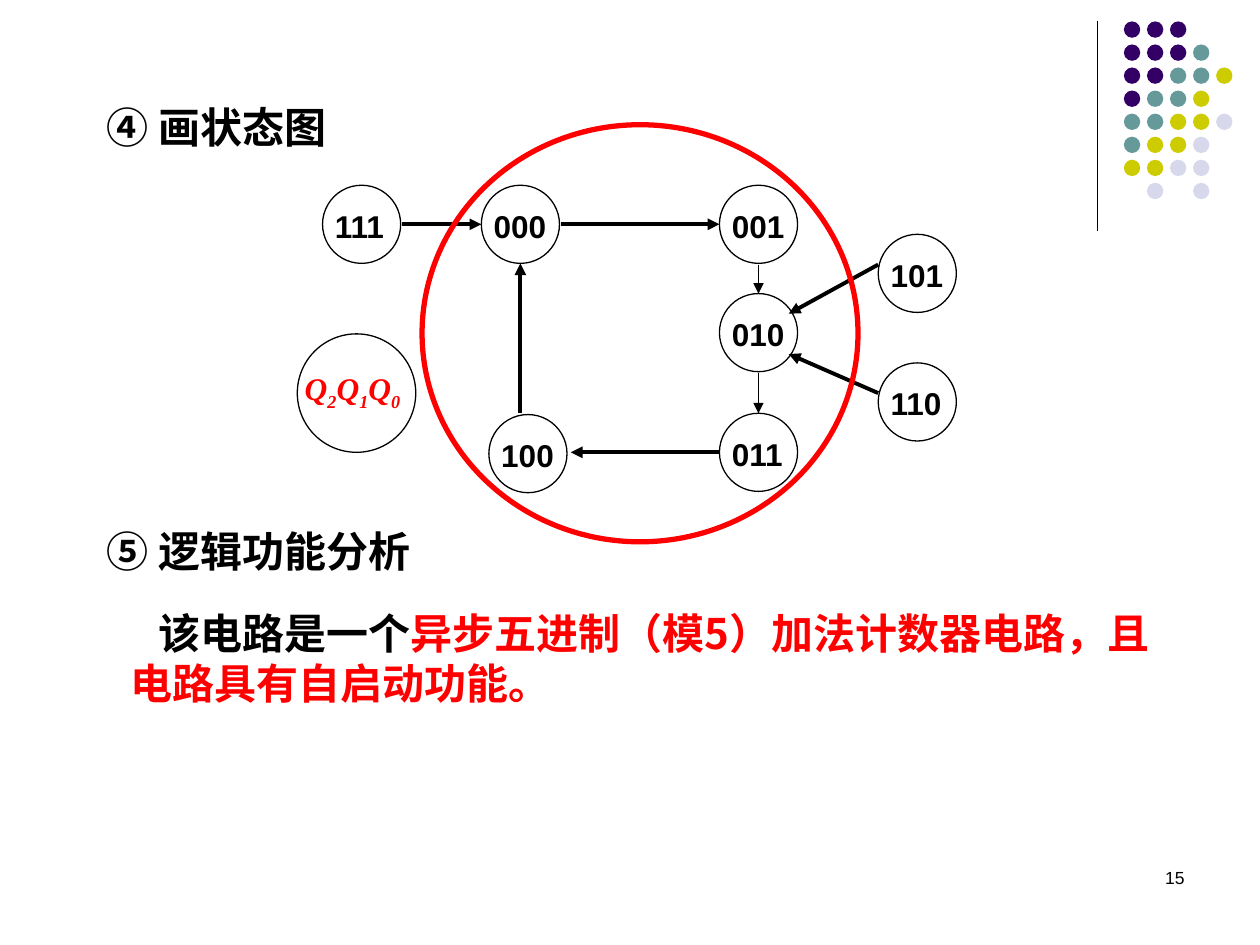
import pptx
import pptx.dml.color
import pptx.enum.shapes
import pptx.enum.text
import pptx.oxml.ns
import pptx.util
from lxml import etree

Inches, Pt = pptx.util.Inches, pptx.util.Pt
ELLIPSE = pptx.enum.shapes.MSO_SHAPE.OVAL
ALIGN = pptx.enum.text.PP_ALIGN

COLORS = {
    "black": "000000", "white": "FFFFFF", "red": "FF0000",
    "purple": "330066", "teal": "669999", "olive": "CCCC00", "lilac": "D8D8EC",
}
CJK, SANS, SERIF = "Noto Sans CJK SC", "Arial", "Times New Roman"

# Content: corner dots, one string per row
DOT_CODES = {"p": "purple", "t": "teal", "o": "olive", "l": "lilac"}
DOT_ROWS = ["ppp", "pppt", "pptto", "ptto", "ttool", "tool", "ooll", " l l"]
DOT_LEFT, DOT_TOP, DOT_SIZE, DOT_PITCH = 8.92, 0.17, 0.13, 0.183

# Content: states and the left, top of their circles
STATE_SIZE = 0.62
STATES = {
    "100": (3.88, 3.29), "111": (2.56, 1.47), "110": (6.97, 2.88),
    "101": (6.97, 1.86), "011": (5.71, 3.28), "010": (5.71, 2.33),
    "001": (5.71, 1.47), "000": (3.82, 1.47),
}

# Content: transitions as start, end, line width
TRANSITIONS = [
    ((3.19, 1.78), (3.82, 1.78), 2.25),
    ((4.45, 1.78), (5.71, 1.78), 2.25),
    ((6.02, 2.1), (6.02, 2.33), 0.75),
    ((6.02, 2.96), (6.02, 3.28), 0.75),
    ((5.71, 3.59), (4.53, 3.59), 2.25),
    ((4.13, 3.28), (4.13, 2.09), 2.25),
    ((6.97, 2.1), (6.26, 2.49), 2.25),
    ((6.97, 3.12), (6.26, 2.81), 2.25),
]

# Content: headings and conclusion
HEADINGS = [("④ 画状态图", (0.75, 0.76, 2.6, 0.5)),
            ("⑤ 逻辑功能分析", (0.75, 4.12, 3.78, 0.5))]
CONCLUSION = [("该电路是一个", "black"),
              ("异步五进制（模5）加法计数器电路，且电路具有自启动功能。", "red")]
PAGE_NUMBER = "15"


def rgb(color):
    return pptx.dml.color.RGBColor.from_string(COLORS[color])


def add_ellipse(slide, box, fill=None, line=None, width=0.75):
    ellipse = slide.shapes.add_shape(ELLIPSE, *map(Inches, box))
    ellipse.shadow.inherit = False
    if fill:
        ellipse.fill.solid()
        ellipse.fill.fore_color.rgb = rgb(fill)
    else:
        ellipse.fill.background()
    if line:
        ellipse.line.color.rgb = rgb(line)
        ellipse.line.width = Pt(width)
    else:
        ellipse.line.fill.background()


def add_line(slide, start, end, width, arrow=False):
    line = slide.shapes.add_connector(
        pptx.enum.shapes.MSO_CONNECTOR.STRAIGHT, *map(Inches, start + end))
    line.line.color.rgb = rgb("black")
    line.line.width = Pt(width)
    if arrow:
        head = etree.SubElement(line.line._get_or_add_ln(),
                                pptx.oxml.ns.qn("a:tailEnd"))
        head.set("type", "triangle")
    etree.SubElement(line._element.spPr, pptx.oxml.ns.qn("a:effectLst"))


def add_text(slide, box, align=ALIGN.LEFT):
    frame = slide.shapes.add_textbox(*map(Inches, box)).text_frame
    frame.word_wrap = True
    paragraph = frame.paragraphs[0]
    paragraph.alignment = align
    return paragraph


def add_run(paragraph, text, size, font, color="black", bold=True):
    run = paragraph.add_run()
    run.text = text
    run.font.size = Pt(size)
    run.font.bold = bold
    run.font.color.rgb = rgb(color)
    run.font.name = font
    east_asian = etree.SubElement(run._r.get_or_add_rPr(), pptx.oxml.ns.qn("a:ea"))
    east_asian.set("typeface", font)
    return run


def main():
    deck = pptx.Presentation()
    deck.slide_width, deck.slide_height = Inches(10), Inches(7.5)
    slide = deck.slides.add_slide(deck.slide_layouts[6])

    # Corner decoration
    add_line(slide, (8.71, 0.17), (8.71, 1.83), 0.75)
    for row, codes in enumerate(DOT_ROWS):
        for column, code in enumerate(codes):
            if code in DOT_CODES:
                add_ellipse(slide, (DOT_LEFT + column * DOT_PITCH,
                                    DOT_TOP + row * DOT_PITCH,
                                    DOT_SIZE, DOT_SIZE), DOT_CODES[code])

    # Page number and headings
    page = add_text(slide, (7.17, 6.83, 2.33, 0.5), ALIGN.RIGHT)
    add_run(page, PAGE_NUMBER, 10, SANS, bold=False)
    for heading, box in HEADINGS:
        add_run(add_text(slide, box), heading, 24, CJK)

    # State circles
    for state, (left, top) in STATES.items():
        add_ellipse(slide, (left, top, STATE_SIZE, STATE_SIZE), "white", "black")
        label = add_text(slide, (left, top + 0.12, 0.63, 0.4))
        add_run(label, state, 18, SANS)

    # Legend with the order of the state bits
    add_ellipse(slide, (2.36, 2.65, 0.94, 0.94), "white", "black")
    legend = add_text(slide, (2.32, 2.88, 1.1, 0.44))
    for bit in "210":
        add_run(legend, "Q", 18, SERIF, "red").font.italic = True
        subscript = add_run(legend, bit, 18, SERIF, "red")
        subscript.font.italic = True
        subscript._r.get_or_add_rPr().set("baseline", "-25000")

    # Transitions
    for start, end, width in TRANSITIONS:
        add_line(slide, start, end, width, arrow=True)

    # Conclusion with a first-line indent
    conclusion = add_text(slide, (0.94, 4.77, 8.51, 0.9))
    conclusion._p.get_or_add_pPr().set("indent", str(Inches(0.22)))
    for text, color in CONCLUSION:
        add_run(conclusion, text, 24, CJK, color)

    # Ring around the main counting cycle
    add_ellipse(slide, (3.35, 0.99, 3.46, 3.31), line="red", width=3)

    deck.save("out.pptx")


if __name__ == "__main__":
    main()
